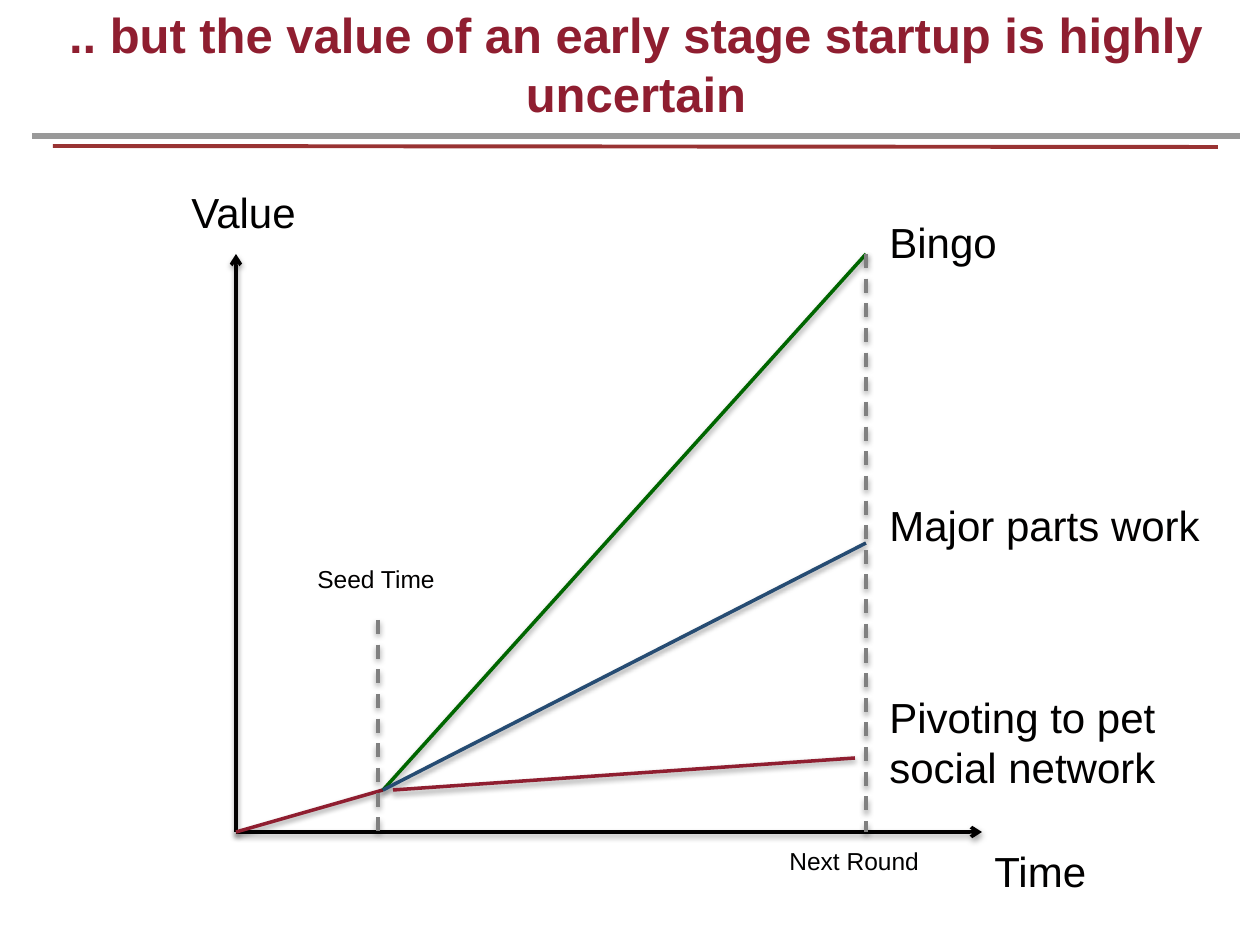
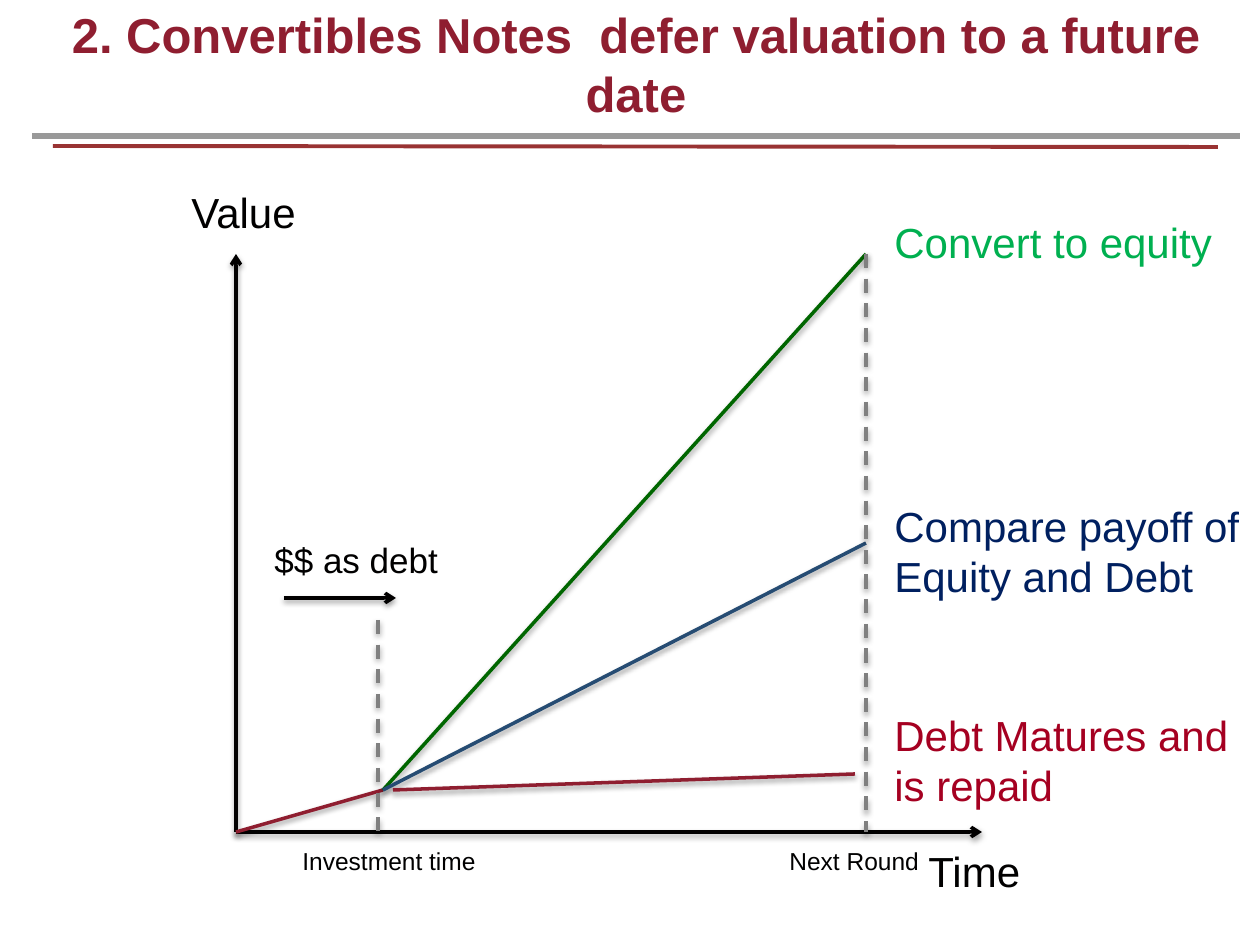
from dataclasses import dataclass

from lxml import etree
from pptx import Presentation
from pptx import util as u
from pptx.dml.color import RGBColor
from pptx.enum import dml, shapes, text
from pptx.oxml.ns import qn

PX = u.Inches(1) / 126  # one pixel in EMU
FONT = "Arial"
BLACK, MAROON, GREEN, BLUE, GREY = "010000", "8F1E30", "006600", "264C73", "808080"
RULE_GREY, RULE_RED = "999999", "993333"

# Key points of the value chart
ORIGIN = (236, 832)
VALUE_END = (236, 254)
TIME_END = (982, 832)
FORK = (383, 790)
NEXT_X = 866
SEED_X = 378


@dataclass
class Line:
    start: tuple[int, int]
    end: tuple[int, int]
    color: str = BLACK
    width: float = 2
    arrow: bool = False
    dashed: bool = False
    shadow: bool = True


@dataclass
class Label:
    text: str
    left: int
    top: int
    width: int
    height: int
    size: int = 24
    color: str = BLACK
    wrap: bool = True
    bold: bool = False
    align: text.PP_ALIGN = text.PP_ALIGN.LEFT
    anchor: text.MSO_ANCHOR = text.MSO_ANCHOR.TOP
    grow: bool = True


@dataclass
class Page:
    title: str
    low_end: tuple[int, int]
    labels: list[Label]
    extra_lines: list[Line]


def emu(px: float) -> int:
    return round(px * PX)


def rgb(color: str) -> RGBColor:
    return RGBColor.from_string(color)


def add_shadow(effects) -> None:
    """Soft shadow straight below the line."""
    outer = etree.SubElement(effects, qn("a:outerShdw"), blurRad="40000",
                             dist="20000", dir="5400000", rotWithShape="0")
    tone = etree.SubElement(outer, qn("a:srgbClr"), val="000000")
    etree.SubElement(tone, qn("a:alpha"), val="38000")


def draw_line(s, line: Line) -> None:
    sp = s.shapes.add_connector(shapes.MSO_CONNECTOR.STRAIGHT,
                                *map(emu, line.start + line.end))
    sp.line.width = u.Pt(line.width)
    sp.line.color.rgb = rgb(line.color)
    if line.dashed:
        sp.line.dash_style = dml.MSO_LINE.DASH
    props = sp.element.spPr
    if line.arrow:
        etree.SubElement(props.find(qn("a:ln")), qn("a:tailEnd"), type="arrow")
    effects = etree.SubElement(props, qn("a:effectLst"))
    if line.shadow:
        add_shadow(effects)


def draw_label(s, label: Label) -> None:
    sp = s.shapes.add_textbox(*map(emu, (label.left, label.top,
                                         label.width, label.height)))
    tf = sp.text_frame
    tf.text = label.text
    tf.word_wrap = label.wrap
    tf.vertical_anchor = label.anchor
    if label.grow:
        tf.auto_size = text.MSO_AUTO_SIZE.SHAPE_TO_FIT_TEXT
    for p in tf.paragraphs:
        p.alignment = label.align
        for r in p.runs:
            r.font.name = FONT
            r.font.size = u.Pt(label.size)
            r.font.bold = label.bold
            r.font.color.rgb = rgb(label.color)


def draw_header(s, title: str) -> None:
    draw_line(s, Line((1240, 136), (32, 136), RULE_GREY, 3, shadow=False))
    draw_line(s, Line((53, 146), (1218, 147), RULE_RED, 2.25, shadow=False))
    draw_label(s, Label(title, 32, 21, 1208, 84, 28, MAROON, bold=True,
                        align=text.PP_ALIGN.CENTER,
                        anchor=text.MSO_ANCHOR.MIDDLE, grow=False))


def draw_page(s, page: Page) -> None:
    draw_header(s, page.title)
    lines = [
        # Axes
        Line(ORIGIN, VALUE_END, arrow=True),
        Line(ORIGIN, TIME_END, arrow=True),
        # Value before and after the fork
        Line(ORIGIN, FORK, MAROON),
        Line(FORK, (NEXT_X, 254), GREEN),
        Line(FORK, (NEXT_X, 543), BLUE),
        Line((393, 790), page.low_end, MAROON),
        # Moments in time
        Line((SEED_X, 620), (SEED_X, 839), GREY, dashed=True),
        Line((NEXT_X, 254), (NEXT_X, 832), GREY, dashed=True),
    ]
    for line in lines + page.extra_lines:
        draw_line(s, line)
    shared = [
        Label("Value", 179, 180, 131, 63, wrap=False),
        Label("Next Round", 777, 840, 388, 43, 14),
    ]
    for label in shared + page.labels:
        draw_label(s, label)


PAGES = [
    Page(
        ".. but the value of an early stage startup is highly uncertain",
        (855, 758),
        [
            Label("Time", 982, 839, 118, 63, wrap=False),
            Label("Bingo", 877, 210, 388, 63),
            Label("Major parts work", 877, 493, 388, 63),
            Label("Pivoting to pet social network", 877, 685, 388, 115),
            Label("Seed Time", 305, 558, 388, 43, 14),
        ],
        [],
    ),
    Page(
        "2. Convertibles Notes  defer valuation to a future date",
        (855, 774),
        [
            Label("Time", 916, 839, 118, 63, wrap=False),
            Label("Convert to equity", 882, 210, 347, 63, color="00B050", wrap=False),
            Label("Compare payoff of\nEquity and Debt", 882, 494, 386, 115,
                  color="002060", wrap=False),
            Label("Debt Matures and is repaid", 882, 703, 378, 115, color="A50021"),
            Label("Investment time", 290, 840, 388, 43, 14),
            Label("$$ as debt", 262, 532, 190, 55, 20, wrap=False),
        ],
        [Line((284, 598), (396, 598), arrow=True)],
    ),
]

prs = Presentation()
prs.slide_width, prs.slide_height = u.Inches(10), u.Inches(7.5)
for page in PAGES:
    draw_page(prs.slides.add_slide(prs.slide_layouts[6]), page)
prs.save("out.pptx")
